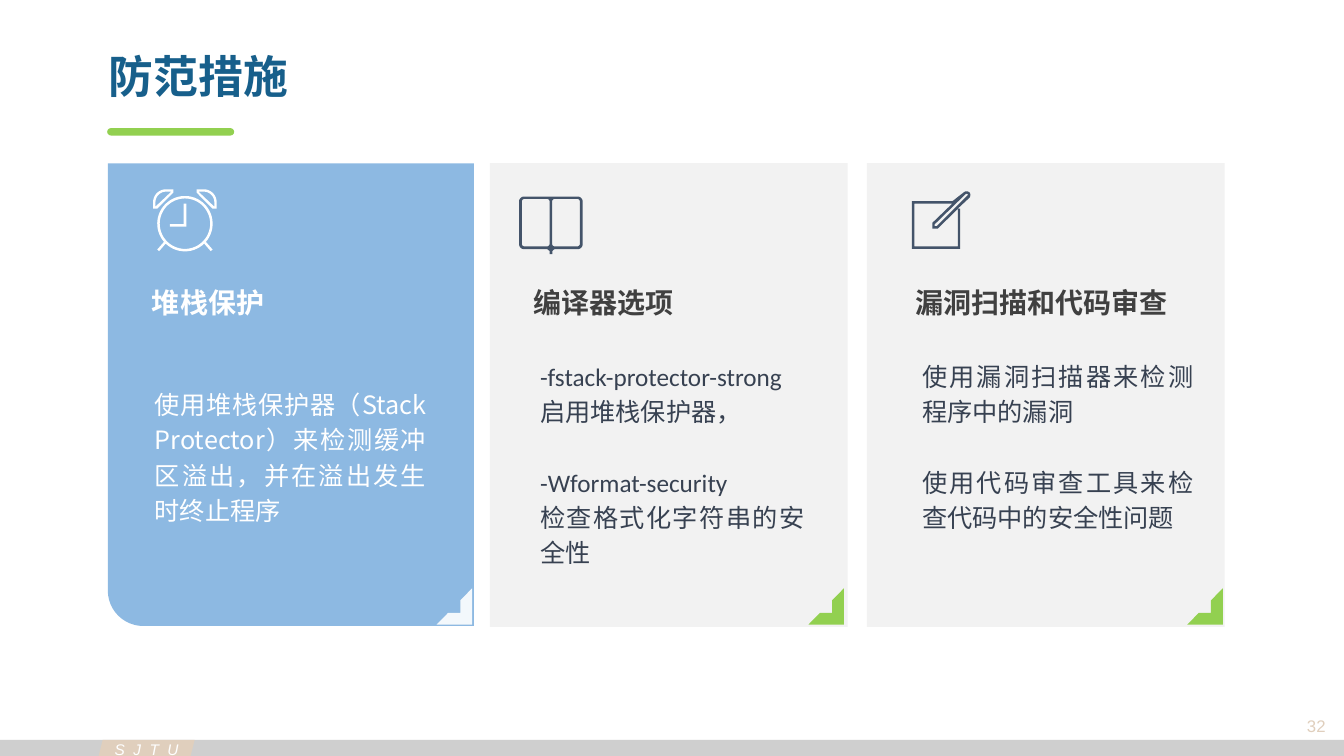
from dataclasses import dataclass
from math import cos, radians, sin

from lxml import etree
from pptx import Presentation
from pptx.dml.color import RGBColor
from pptx.enum.shapes import MSO_SHAPE
from pptx.enum.text import MSO_ANCHOR, PP_ALIGN
from pptx.oxml.ns import qn
from pptx.util import Pt

RECT = MSO_SHAPE.RECTANGLE
PARALLELOGRAM = MSO_SHAPE.PARALLELOGRAM
ROUND_ENDS = MSO_SHAPE.ROUND_2_SAME_RECTANGLE
SNIP_ROUND = MSO_SHAPE.SNIP_ROUND_RECTANGLE
HALF_FRAME = MSO_SHAPE.HALF_FRAME
TOP, MIDDLE = MSO_ANCHOR.TOP, MSO_ANCHOR.MIDDLE
LEFT, RIGHT, JUSTIFY = PP_ALIGN.LEFT, PP_ALIGN.RIGHT, PP_ALIGN.JUSTIFY

CJK = "Noto Sans CJK SC"
WHITE, GREEN, NAVY, SAND = "FFFFFF", "92D050", "44546A", "E0CFBD"
BODY_PITCH = 25.2

Point = tuple[float, float]
Contour = list[Point]


@dataclass
class Card:
    heading: str
    groups: list[list[str]]
    text_x: float
    body_y: float
    body_w: float
    body_font: str
    heading_color: str
    body_color: str
    corner_x: float
    corner_color: str
    corner_alpha: int = 100


CARDS = [
    Card("堆栈保护",
         [["使用堆栈保护器（Stack Protector）来检测缓冲区溢出，并在溢出发生时终止程序"]],
         101.5, 271, 208, CJK, WHITE, WHITE, 311.8, WHITE, 90),
    Card("编译器选项",
         [["-fstack-protector-strong", "启用堆栈保护器，"],
          ["-Wformat-security", "检查格式化字符串的安全性"]],
         373.7, 251, 203, "Calibri", "404040", "374151", 577.4, GREEN),
    Card("漏洞扫描和代码审查",
         [["使用漏洞扫描器来检测程序中的漏洞"],
          ["使用代码审查工具来检查代码中的安全性问题"]],
         646.6, 251, 208, "Calibri", "404040", "374151", 848, GREEN),
]


def paint(sp, color: str, alpha: int = 100) -> None:
    sp.shadow.inherit = False
    sp.fill.solid()
    sp.fill.fore_color.rgb = RGBColor.from_string(color)
    sp.line.fill.background()
    if alpha < 100:
        clr = sp.fill._xPr.find(qn("a:solidFill"))[0]
        etree.SubElement(clr, qn("a:alpha")).set("val", str(alpha * 1000))


def add_box(s, kind, x: float, y: float, w: float, h: float, color: str,
            alpha: int = 100, rotation: float = 0,
            adjustments: tuple[float, ...] = ()) -> None:
    sp = s.shapes.add_shape(kind, Pt(x), Pt(y), Pt(w), Pt(h))
    sp.rotation = rotation
    for i, value in enumerate(adjustments):
        sp.adjustments[i] = value
    paint(sp, color, alpha)


def add_text(s, groups: list[list[str]], x: float, y: float, w: float, h: float,
             *, size: float, color: str, font: str = "Arial", bold: bool = False,
             italic: bool = False, align=LEFT, anchor=MIDDLE, wrap: bool = True,
             spacing=None, gap: float = 0, tracking: float = 0) -> None:
    tf = s.shapes.add_textbox(Pt(x), Pt(y), Pt(w), Pt(h)).text_frame
    tf.word_wrap = wrap
    tf.vertical_anchor = anchor
    lines = [(line, g > 0 and n == 0)
             for g, group in enumerate(groups) for n, line in enumerate(group)]
    for i, (line, spaced) in enumerate(lines):
        p = tf.add_paragraph() if i else tf.paragraphs[0]
        p.alignment = align
        p.line_spacing = spacing
        if spaced:
            p.space_before = Pt(gap)
        r = p.add_run()
        r.text = line
        r.font.size = Pt(size)
        r.font.name = font
        r.font.bold = bold
        r.font.italic = italic
        r.font.color.rgb = RGBColor.from_string(color)
        rpr = r._r.get_or_add_rPr()
        etree.SubElement(rpr, qn("a:ea")).set("typeface", CJK)
        if tracking:
            rpr.set("spc", str(int(tracking * 100)))


def arc(cx: float, cy: float, radius: float, start: int, end: int) -> Contour:
    steps = max(4, abs(end - start) // 6)
    angles = [radians(start + (end - start) * i / steps) for i in range(steps + 1)]
    return [(cx + radius * cos(a), cy + radius * sin(a)) for a in angles]


def round_rect(x1: float, y1: float, x2: float, y2: float, rad: float) -> Contour:
    return (arc(x2 - rad, y1 + rad, rad, -90, 0) + arc(x2 - rad, y2 - rad, rad, 0, 90)
            + arc(x1 + rad, y2 - rad, rad, 90, 180)
            + arc(x1 + rad, y1 + rad, rad, 180, 270))


def mirror(contours: list[Contour], axis: float) -> list[Contour]:
    return [[(2 * axis - x, y) for x, y in c] for c in contours]


def add_outline(s, contours: list[Contour], color: str) -> None:
    scaled = [[(Pt(x), Pt(y)) for x, y in c] for c in contours]
    fb = s.shapes.build_freeform(*scaled[0][0], scale=1.0)
    for i, points in enumerate(scaled):
        if i:
            fb.move_to(*points[0])
        fb.add_line_segments(points[1:], close=True)
    paint(fb.convert_to_shape(), color)


def draw_clock(s) -> None:
    cx, cy = 132.1, 159.8
    face = (arc(cx, cy, 19.8, 139, 401) + [(151.9, 178.3), (150.5, 179.4)]
            + arc(cx, cy, 19.8, 46, 134) + [(113.7, 179.4), (112.3, 178.3)])
    ear = [[(123.8, 135.2)] + arc(118.6, 144.4, 9.2, 270, 180)
           + [(109.4, 149), (112.3, 149), (123.8, 137.5)],
           [(122.4, 136.9)] + arc(118.6, 144.4, 7.5, 270, 180) + [(111.1, 147.6)]]
    hands = [[(131.3, 160.1), (121.3, 160.1), (121.3, 161.9), (133.1, 161.9),
              (133.1, 145.5), (131.3, 145.5)]]
    for part in ([face, arc(cx, cy, 18, 0, 360)], ear, mirror(ear, cx), hands):
        add_outline(s, part, WHITE)


def draw_book(s) -> None:
    cover = round_rect(370.8, 140.4, 416.2, 178, 3.6)
    split = len(cover) // 2
    ribbon = [(396, 178), (394.6, 179.3), (394.6, 181.6), (392.6, 181.6),
              (392.6, 179.3), (391, 178)]
    page = round_rect(372.8, 142.1, 392.6, 176, 1.8)
    add_outline(s, [cover[:split] + ribbon + cover[split:], page,
                    *mirror([page], 393.5)], NAVY)


def draw_pencil(s) -> None:
    sheet = [(680.4, 143.7), (651.4, 143.7), (651.4, 177.8), (685.8, 177.8),
             (685.8, 149), (684.2, 149), (692.8, 141), (693.2, 139), (692.6, 137.5),
             (691.2, 136.7), (689.6, 136.7), (688.3, 137.5)]
    inside = [(684.2, 176), (653.2, 176), (653.2, 145.5), (680.2, 145.5),
              (666, 159.2), (666, 163.4), (669.8, 163.4), (684.2, 149.2)]
    shaft = [(691.3, 139.5), (669, 161.6), (667.6, 161.6), (667.6, 160.3),
             (689.6, 138.8), (690.5, 138.3), (691.3, 138.8)]
    add_outline(s, [sheet, inside, shaft], NAVY)


def draw_card_text(s, card: Card) -> None:
    add_text(s, [[card.heading]], card.text_x, 204.5, 208, 25, size=20, bold=True,
             font=CJK, color=card.heading_color, spacing=0.96)
    add_text(s, card.groups, card.text_x + 2 + 3 * (card is not CARDS[0]),
             card.body_y, card.body_w, 64, size=18, font=card.body_font,
             color=card.body_color, align=JUSTIFY, anchor=TOP,
             spacing=Pt(BODY_PITCH), gap=BODY_PITCH)
    add_box(s, HALF_FRAME, card.corner_x, 420.2, 25.4, 26, card.corner_color,
            alpha=card.corner_alpha, rotation=180)


def main() -> None:
    prs = Presentation()
    prs.slide_width, prs.slide_height = Pt(960), Pt(540)
    s = prs.slides.add_slide(prs.slide_layouts[6])

    add_box(s, RECT, 0, 528.5, 960, 11.5, "BFBFBF", alpha=75)
    add_box(s, PARALLELOGRAM, 70.5, 528.5, 68.5, 11.5, SAND)
    add_text(s, [["SJTU"]], 74.9, 525, 67, 21, size=11, color=WHITE, italic=True,
             wrap=False, tracking=6)
    add_text(s, [["32"]], 872.6, 504.7, 81.4, 27.4, size=12, color=SAND, align=RIGHT)

    add_text(s, [["防范措施"]], 70.5, 30.3, 769.7, 46.8, size=32, color="175F8B",
             bold=True)
    add_box(s, ROUND_ENDS, 76.6, 91.5, 90.7, 5.3, GREEN, adjustments=(0.5, 0.5))

    add_box(s, SNIP_ROUND, 42.5, 151.2, 330.5, 261.4, "8DB9E2", rotation=270,
            adjustments=(0.097, 0))
    for x in (349.9, 619.2):
        add_box(s, RECT, x, 116.6, 255.6, 331.2, "F2F2F2")
    for card in CARDS:
        draw_card_text(s, card)
    draw_clock(s)
    draw_book(s)
    draw_pencil(s)
    prs.save("out.pptx")


if __name__ == "__main__":
    main()
